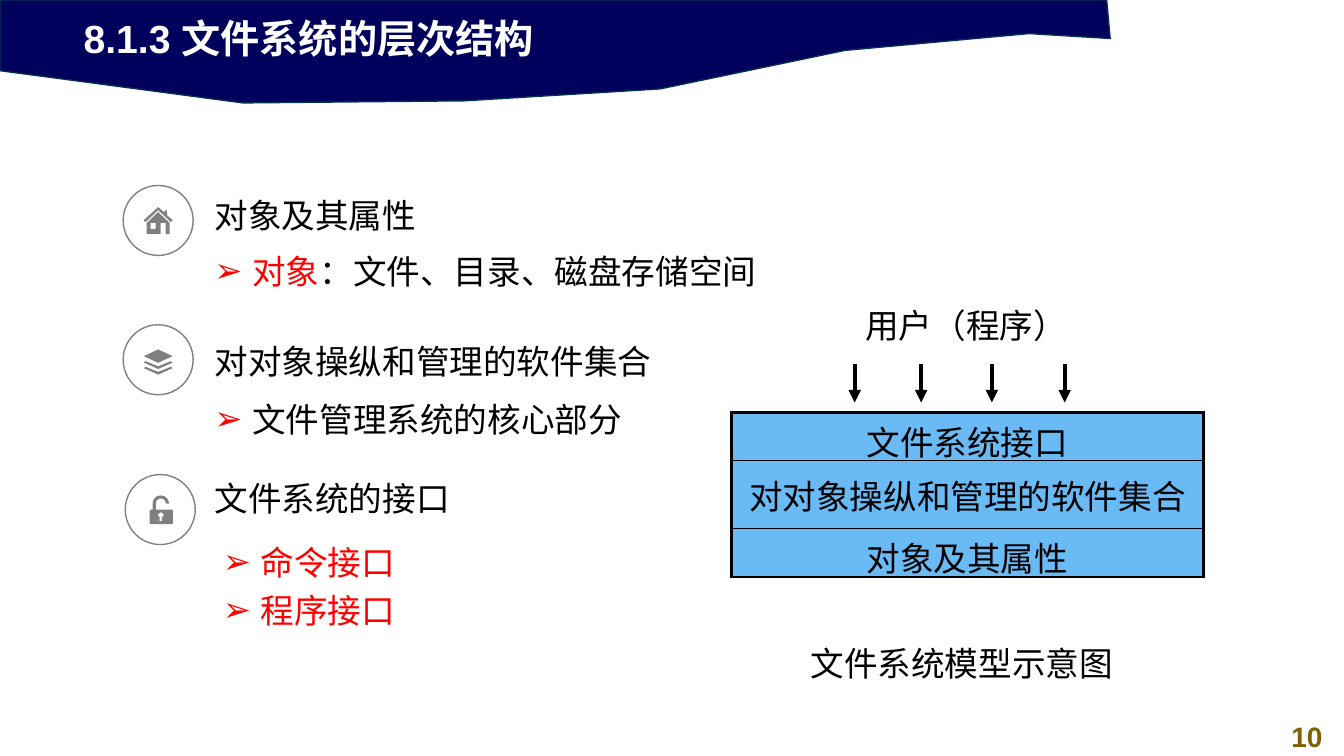
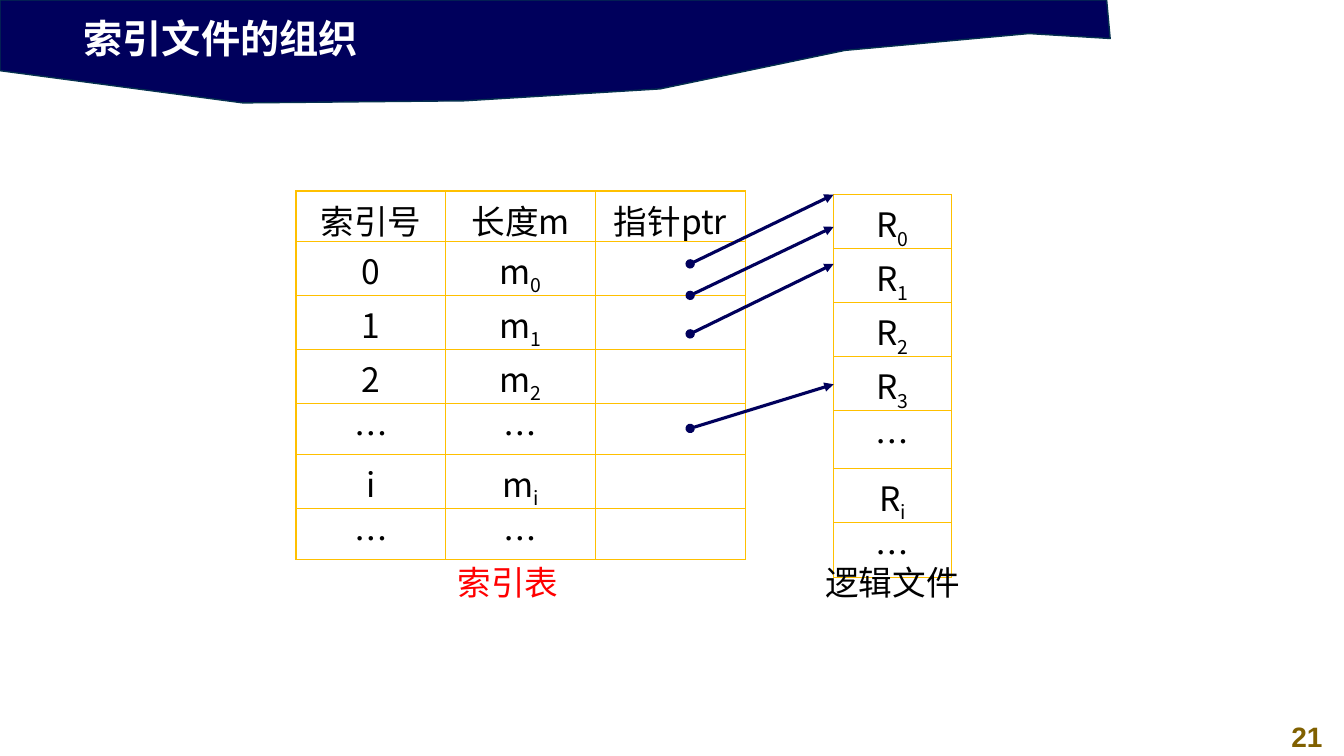
"""Build two lecture slides on file system layers and indexed files."""
import math
from dataclasses import dataclass

import lxml.etree
import pptx
import pptx.dml.color
import pptx.enum.shapes
import pptx.enum.text
import pptx.oxml.ns
import pptx.util


@dataclass(frozen=True)
class Theme:
    navy: str = "00005C"
    band_edge: str = "05304F"
    white: str = "FFFFFF"
    black: str = "000000"
    red: str = "FF0000"
    grey: str = "808080"
    gold: str = "FFC000"
    olive: str = "806000"
    sky: str = "6ABBF5"
    latin: str = "Arial"
    cjk: str = "Noto Sans CJK SC"
    title_size: int = 28
    text_size: int = 24
    number_size: int = 20


theme = Theme()
qn = pptx.oxml.ns.qn
middle = pptx.enum.text.MSO_ANCHOR.MIDDLE
center = pptx.enum.text.PP_ALIGN.CENTER
rgb = pptx.dml.color.RGBColor.from_string


def add_run(paragraph, text, color=theme.black, size=theme.text_size, font=theme.latin, bold=False):
    run = paragraph.add_run()
    run.text = text
    run.font.size = pptx.util.Pt(size)
    run.font.bold = bold
    run.font.color.rgb = rgb(color)
    run.font.name = font
    properties = run._r.get_or_add_rPr()
    lxml.etree.SubElement(properties, qn("a:ea"), typeface=theme.cjk)
    return properties


def add_outline(slide, contours, color, x=0, y=0):
    scaled = [[((x + px) * 100, (y + py) * 100) for px, py in contour] for contour in contours]
    builder = slide.shapes.build_freeform(*scaled[0][0], scale=pptx.util.Pt(1) / 100)
    builder.add_line_segments(scaled[0][1:], close=True)
    for contour in scaled[1:]:
        builder.move_to(*contour[0])
        builder.add_line_segments(contour[1:], close=True)
    outline = builder.convert_to_shape()
    outline.shadow.inherit = False
    outline.fill.solid()
    outline.fill.fore_color.rgb = rgb(color)
    outline.line.fill.background()
    return outline


prs = pptx.Presentation()
prs.slide_width = pptx.util.Pt(960)
prs.slide_height = pptx.util.Pt(540)
layers_slide = prs.slides.add_slide(prs.slide_layouts[1])
index_slide = prs.slides.add_slide(prs.slide_layouts[5])

band_points = [
    (0, 0), (0, 50.5), (173.5, 73.5), (332, 72), (471.5, 63.5),
    (603.5, 36), (735, 24), (793, 27.5), (790.5, 0),
]
band = add_outline(layers_slide, [band_points], theme.navy)
band.line.color.rgb = rgb(theme.band_edge)
band.line.width = pptx.util.Pt(1)
prs.slide_master.shapes.element.insert(2, band.element)

for slide, heading, number in [
    (layers_slide, "8.1.3 文件系统的层次结构", "10"),
    (index_slide, "索引文件的组织", "21"),
]:
    title = slide.shapes.title
    title.left, title.top = pptx.util.Pt(52.5), pptx.util.Pt(6.5)
    title.width, title.height = pptx.util.Pt(553), pptx.util.Pt(41)
    title.text_frame.auto_size = pptx.enum.text.MSO_AUTO_SIZE.NONE
    title.text_frame.vertical_anchor = middle
    title_line = title.text_frame.paragraphs[0]
    title_line.alignment = pptx.enum.text.PP_ALIGN.LEFT
    add_run(title_line, heading, theme.white, theme.title_size, bold=True)

    page = slide.shapes.add_textbox(
        pptx.util.Pt(907), pptx.util.Pt(510.5), pptx.util.Pt(53), pptx.util.Pt(32)
    )
    page.text_frame.word_wrap = True
    page_line = page.text_frame.paragraphs[0]
    page_line.alignment = center
    add_run(page_line, number, theme.olive, theme.number_size, bold=True)

outline_list = layers_slide.placeholders[1]
outline_list.left, outline_list.top = pptx.util.Pt(146), pptx.util.Pt(134)
outline_list.width, outline_list.height = pptx.util.Pt(404), pptx.util.Pt(322)
points_frame = outline_list.text_frame
points_frame.auto_size = pptx.enum.text.MSO_AUTO_SIZE.NONE
points_frame.margin_top = points_frame.margin_bottom = 0
points_frame.margin_right = 0
hanging = 27
for position, (gap, left, runs) in enumerate([
    (0, 0, [("对象及其属性", theme.black)]),
    (6, 27, [("对象", theme.red), ("：文件、目录、磁盘存储空间", theme.black)]),
    (30, 0, [("对对象操纵和管理的软件集合", theme.black)]),
    (8, 27, [("文件管理系统的核心部分", theme.black)]),
    (22, 0, [("文件系统的接口", theme.black)]),
    (12, 33, [("命令接口", theme.red)]),
    (0, 33, [("程序接口", theme.red)]),
]):
    point = points_frame.add_paragraph() if position else points_frame.paragraphs[0]
    properties = point._p.get_or_add_pPr()
    properties.set("marL", str(pptx.util.Pt(left)))
    properties.set("indent", str(pptx.util.Pt(-hanging if left else 0)))
    if left:
        bullet_color = lxml.etree.SubElement(properties, qn("a:buClr"))
        lxml.etree.SubElement(bullet_color, qn("a:srgbClr"), val=theme.red)
        lxml.etree.SubElement(properties, qn("a:buFont"), typeface="Wingdings")
        properties[-1].set("typeface", theme.latin)
        lxml.etree.SubElement(properties, qn("a:buChar"), char="➢")
    else:
        lxml.etree.SubElement(properties, qn("a:buNone"))
    point.line_spacing = pptx.util.Pt(34)
    point.space_before = pptx.util.Pt(gap)
    point.space_after = pptx.util.Pt(0)
    for text, color in runs:
        add_run(point, text, color)

house = [
    [(0, -9.6), (4.6, -5.6), (4.6, -7.2), (6.2, -7.2), (6.2, -3.8), (10.4, -0.2),
     (9, 1.1), (0, -7.4), (-9, 1.1), (-10.4, -0.2)],
    [(0, -6), (8.2, 1.8), (8.2, 9.6), (5.4, 9.6), (5.4, 1.8), (1.8, 1.8),
     (1.8, 9.6), (-8.2, 9.6), (-8.2, 1.8)],
    [(-5.4, 1.8), (-5.4, 6.1), (-1.8, 6.1), (-1.8, 1.8)],
]
stack = [[(0, -7.4), (10.3, -2.6), (0, 2.2), (-10.3, -2.6)]] + [
    [(-10.3, 2 + drop), (-9, 1 + drop), (0, 4.7 + drop), (9, 1 + drop),
     (10.3, 2 + drop), (0, 6.6 + drop)]
    for drop in (0, 4)
]
arc = [math.radians(angle) for angle in range(180, 361, 15)]
shackle = (
    [(-5.4, 0)]
    + [(0.4 + 5.8 * math.cos(a), -4.3 + 5.8 * math.sin(a)) for a in arc]
    + [(0.4 + 3.6 * math.cos(a), -4.3 + 3.6 * math.sin(a)) for a in reversed(arc)]
    + [(-3.2, 0)]
)
lock = [
    shackle,
    [(-7, 0), (8.4, 0), (9, 0.6), (9, 9.8), (8.4, 10.4), (-7, 10.4), (-7.6, 9.8), (-7.6, 0.6)],
    [(-1.7, 4), (-0.4, 5.6), (-0.4, 8.2), (1.2, 8.2), (1.2, 5.6), (2.6, 4),
     (1.7, 2.5), (0.4, 2), (-0.9, 2.5)],
]
ring_size = 50
for icon, left, top in [(house, 88, 132.5), (stack, 88, 232), (lock, 89.5, 339)]:
    ring = layers_slide.shapes.add_shape(
        pptx.enum.shapes.MSO_SHAPE.OVAL, pptx.util.Pt(left), pptx.util.Pt(top),
        pptx.util.Pt(ring_size), pptx.util.Pt(ring_size),
    )
    ring.shadow.inherit = False
    ring.fill.background()
    ring.line.color.rgb = rgb(theme.grey)
    ring.line.width = pptx.util.Pt(1)
    add_outline(layers_slide, icon, theme.grey, left + ring_size / 2, top + ring_size / 2)

layer_rows = [["文件系统接口"], ["对对象操纵和管理的软件集合"], ["对象及其属性"]]
index_rows = [
    ["索引号", "长度m", "指针ptr"],
    ["0", "m_0", ""], ["1", "m_1", ""], ["2", "m_2", ""], ["…", "…", ""],
    ["i", "m_i", ""], ["…", "…", ""],
]
record_rows = [["R_0"], ["R_1"], ["R_2"], ["R_3"], ["…"], ["R_i"], ["…"]]
for slide, rows, left, top, column, heights, fill, edge, outer in [
    (layers_slide, layer_rows, 522.5, 294.5, 337, [34.5, 48.5, 34.5],
     theme.sky, theme.black, 2.25),
    (index_slide, index_rows, 211.5, 136.5, 107, [36, 38.2, 38.2, 38.2, 36.4, 38.2, 36.4],
     None, theme.gold, 1),
    (index_slide, record_rows, 595.5, 139, 84, [38.2, 38.2, 38.2, 38.2, 41.4, 38.2, 39.5],
     None, theme.gold, 1),
]:
    columns = len(rows[0])
    table = slide.shapes.add_table(
        len(rows), columns, pptx.util.Pt(left), pptx.util.Pt(top),
        pptx.util.Pt(column * columns), pptx.util.Pt(sum(heights)),
    ).table
    table.first_row = table.horz_banding = False
    for r, texts in enumerate(rows):
        table.rows[r].height = pptx.util.Pt(heights[r])
        for c, text in enumerate(texts):
            cell = table.cell(r, c)
            cell.vertical_anchor = middle
            cell.margin_top = cell.margin_bottom = pptx.util.Pt(2.9)
            if fill:
                cell.fill.solid()
                cell.fill.fore_color.rgb = rgb(fill)
            else:
                cell.fill.background()
            on_edge = [c == 0, c == columns - 1, r == 0, r == len(rows) - 1]
            for order, (side, outside) in enumerate(zip("LRTB", on_edge)):
                border = lxml.etree.Element(
                    qn(f"a:ln{side}"), w=str(pptx.util.Pt(outer if outside else 1))
                )
                border_fill = lxml.etree.SubElement(border, qn("a:solidFill"))
                lxml.etree.SubElement(border_fill, qn("a:srgbClr"), val=edge)
                cell._tc.get_or_add_tcPr().insert(order, border)
            entry = cell.text_frame.paragraphs[0]
            entry.alignment = center
            base, _, subscript = text.partition("_")
            if base:
                add_run(entry, base, font=theme.cjk)
            if subscript:
                add_run(entry, subscript, font=theme.cjk).set("baseline", "-25000")

for slide, text, left, top, width, color in [
    (layers_slide, "用户（程序）", 609, 214.5, 162, theme.black),
    (layers_slide, "文件系统模型示意图", 571, 455.5, 232, theme.black),
    (index_slide, "逻辑文件", 575.5, 398, 124, theme.black),
    (index_slide, "索引表", 301, 398, 124, theme.red),
]:
    caption = slide.shapes.add_textbox(
        pptx.util.Pt(left), pptx.util.Pt(top), pptx.util.Pt(width), pptx.util.Pt(42)
    )
    caption.text_frame.word_wrap = True
    caption_line = caption.text_frame.paragraphs[0]
    caption_line.alignment = center
    add_run(caption_line, text, color, font=theme.cjk)

user_calls = [(x, 260, x, 287.5) for x in (610.5, 658, 708.5, 760.5)]
pointers = [
    (493, start, 595.5, end)
    for start, end in [(188.5, 139), (211, 162), (238.5, 188.5), (306, 274.5)]
]
for slide, arrows, color, weight, ends in [
    (layers_slide, user_calls, theme.black, 3, {"tailEnd": "triangle"}),
    (index_slide, pointers, theme.navy, 2.25, {"headEnd": "oval", "tailEnd": "triangle"}),
]:
    for ends_at in arrows:
        arrow = slide.shapes.add_connector(
            pptx.enum.shapes.MSO_CONNECTOR.STRAIGHT, *map(pptx.util.Pt, ends_at)
        )
        arrow.line.color.rgb = rgb(color)
        arrow.line.width = pptx.util.Pt(weight)
        for end, kind in ends.items():
            lxml.etree.SubElement(arrow.line._get_or_add_ln(), qn(f"a:{end}"), type=kind)
        lxml.etree.SubElement(arrow._element.spPr, qn("a:effectLst"))

prs.save("out.pptx")
